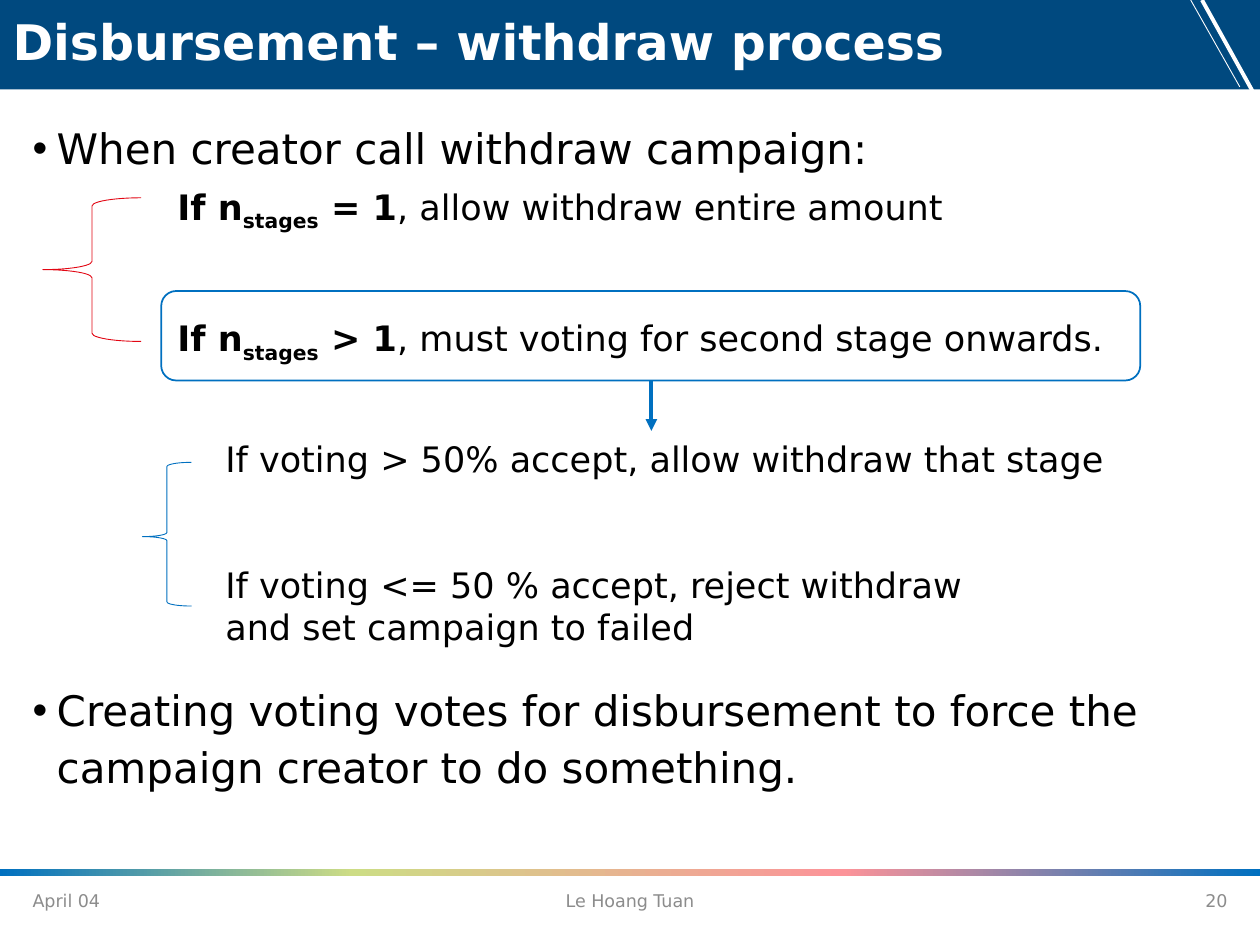
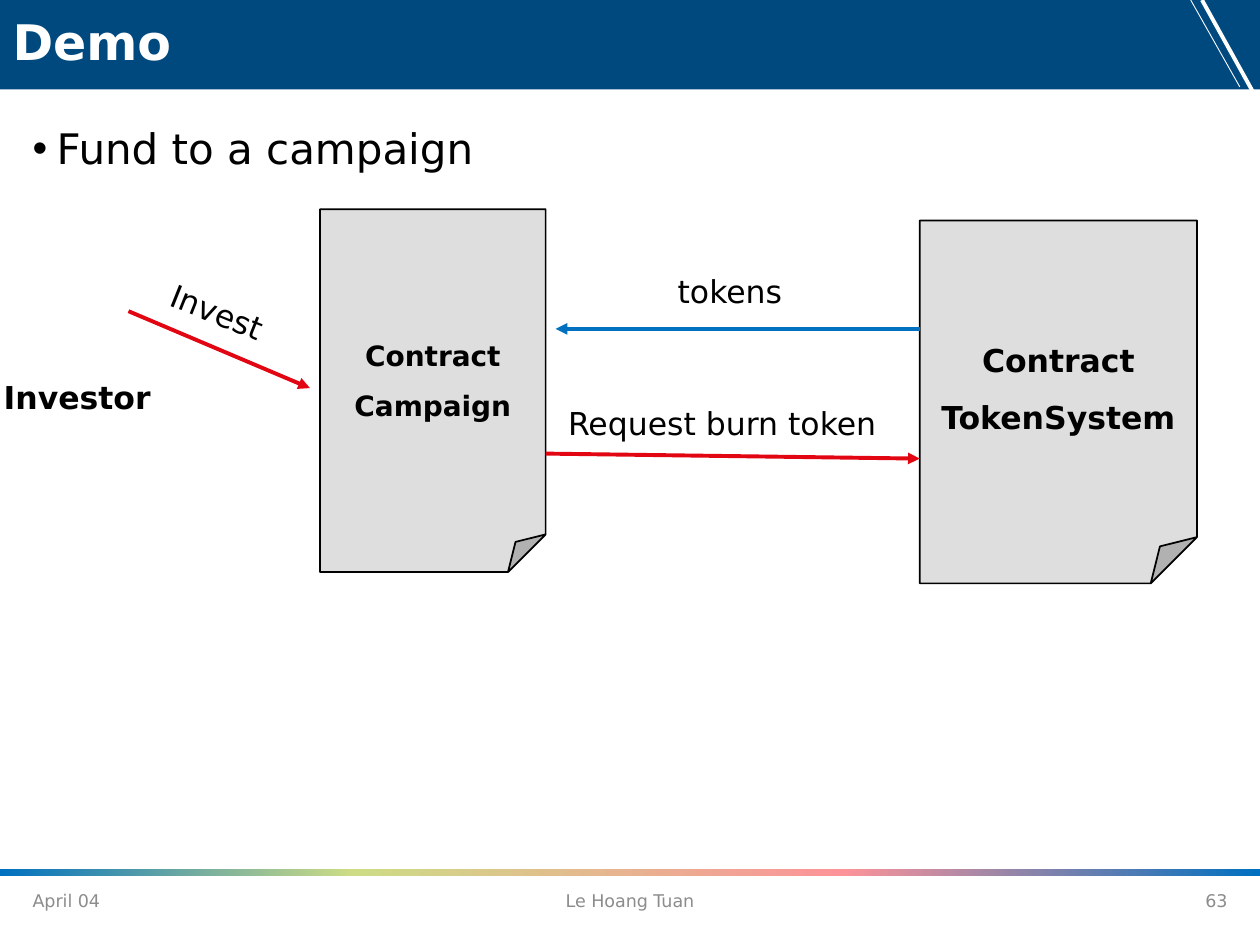
from lxml.etree import SubElement
from pptx import Presentation
from pptx.dml.color import RGBColor
from pptx.enum.shapes import MSO_CONNECTOR, MSO_SHAPE
from pptx.enum.text import MSO_ANCHOR, MSO_AUTO_SIZE, PP_ALIGN
from pptx.oxml import parse_xml
from pptx.oxml.ns import nsdecls, qn
from pptx.util import Inches, Pt

FONT = "DejaVu Sans"
NAVY = RGBColor(0x00, 0x49, 0x7F)
BLUE = RGBColor(0x00, 0x70, 0xC0)
RED = RGBColor(0xE2, 0x06, 0x13)
LIGHT_GREY = RGBColor(0xDE, 0xDE, 0xDE)
FOOTER_GREY = RGBColor(0x8C, 0x8C, 0x8C)
BLACK = RGBColor(0x00, 0x00, 0x00)
WHITE = RGBColor(0xFF, 0xFF, 0xFF)
GREEN = RGBColor(0xCD, 0xDC, 0x85)
PINK = RGBColor(0xFC, 0x93, 0x99)
RULE_STOPS = ((0, BLUE), (28, GREEN), (67, PINK), (100, BLUE))

BAND_HEIGHT = 0.71
BRANCH_GAP = 48


def place(shape, left, top, width, height):
    shape.left, shape.top = Inches(left), Inches(top)
    shape.width, shape.height = Inches(width), Inches(height)


def add_span(para, text, size, color=BLACK, bold=False, subscript=False):
    span = para.add_run()
    span.text = text
    font = span.font
    font.name, font.size, font.bold = FONT, Pt(size), bold
    font.color.rgb = color
    if subscript:
        span._r.get_or_add_rPr().set("baseline", "-25000")


def paragraphs(frame, count):
    """Return the first paragraph and as many new ones as needed."""
    return [frame.paragraphs[0]] + [frame.add_paragraph() for _ in range(count - 1)]


def add_shape(page, kind, left, top, width, height, fill=None, line=None, weight=1):
    shape = page.shapes.add_shape(
        kind, Inches(left), Inches(top), Inches(width), Inches(height))
    shape.shadow.inherit = False
    if fill is None:
        shape.fill.background()
    else:
        shape.fill.solid()
        shape.fill.fore_color.rgb = fill
    if line is None:
        shape.line.fill.background()
    else:
        shape.line.color.rgb = line
        shape.line.width = Pt(weight)
    return shape


def add_line(page, start, end, color, weight=2.25, arrow=False):
    line = page.shapes.add_connector(
        MSO_CONNECTOR.STRAIGHT, *(Inches(value) for value in start + end))
    line.line.color.rgb = color
    line.line.width = Pt(weight)
    properties = line.element.spPr
    if arrow:
        SubElement(properties.find(qn("a:ln")), qn("a:tailEnd"), type="triangle")
    SubElement(properties, qn("a:effectLst"))
    return line


def add_text(page, left, top, width, height, text="", size=18, color=BLACK,
             bold=False, align=PP_ALIGN.LEFT, anchor=MSO_ANCHOR.TOP):
    box = page.shapes.add_textbox(
        Inches(left), Inches(top), Inches(width), Inches(height))
    frame = box.text_frame
    frame.word_wrap = True
    frame.vertical_anchor = anchor
    frame.paragraphs[0].alignment = align
    if text:
        add_span(frame.paragraphs[0], text, size, color, bold)
    return box


def add_brace(page, left, top, width, color, middle=0.5):
    brace = add_shape(page, MSO_SHAPE.LEFT_BRACE, left, top, width, 1.14,
                      line=color, weight=0.5)
    brace.adjustments[1] = middle


def add_contract(page, left, top, width, name, size):
    contract = add_shape(page, MSO_SHAPE.FOLDED_CORNER, left, top, width, 2.88,
                         LIGHT_GREY, BLACK)
    contract.text_frame.word_wrap = True
    contract.text_frame.vertical_anchor = MSO_ANCHOR.MIDDLE
    para = contract.text_frame.paragraphs[0]
    para.alignment = PP_ALIGN.CENTER
    para.line_spacing = 1.5
    add_span(para, name, size, bold=True)


def set_title(page, text):
    title = page.shapes.title
    place(title, 0, 0, 10, BAND_HEIGHT)
    frame = title.text_frame
    frame.auto_size = MSO_AUTO_SIZE.NONE
    frame.vertical_anchor = MSO_ANCHOR.MIDDLE
    para = frame.paragraphs[0]
    para.alignment = PP_ALIGN.LEFT
    para.line_spacing = 0.9
    add_span(para, text, 28, WHITE, bold=True)


def set_bullets(page, height, texts, gap=0):
    body = page.placeholders[1]
    place(body, 0.16, 0.87, 9.69, height)
    frame = body.text_frame
    frame.auto_size = MSO_AUTO_SIZE.NONE
    for index, (para, text) in enumerate(zip(paragraphs(frame, len(texts)), texts)):
        properties = para._p.get_or_add_pPr()
        properties.set("marL", str(Inches(0.19)))
        properties.set("indent", str(-Inches(0.19)))
        SubElement(properties, qn("a:buChar"), char="•")
        para.line_spacing = 1.14
        para.space_before = Pt(gap if index else 0)
        para.space_after = Pt(6)
        add_span(para, text, 24)


def fill_with_gradient(shape, stops):
    marks = "".join(
        f'<a:gs pos="{position * 1000}"><a:srgbClr val="{color}"/></a:gs>'
        for position, color in stops)
    gradient = parse_xml(f'<a:gradFill {nsdecls("a")}><a:gsLst>{marks}</a:gsLst>'
                         '<a:lin ang="0" scaled="0"/></a:gradFill>')
    properties = shape.element.spPr
    properties.replace(properties.find(qn("a:solidFill")), gradient)


def decorate_layout(page):
    """Draw the shared band and lines, then hand them to the layout."""
    band = add_shape(page, MSO_SHAPE.RECTANGLE, 0, 0, 10, BAND_HEIGHT, NAVY)
    rule = add_shape(page, MSO_SHAPE.RECTANGLE, 0, 6.9, 10, 0.05, BLUE)
    fill_with_gradient(rule, RULE_STOPS)
    thin = add_line(page, (9.45, 0), (9.84, 0.69), WHITE, 0.5)
    thick = add_line(page, (9.54, 0), (10, 0.83), WHITE)
    for shape in (band, rule, thin, thick):
        page.slide_layout.shapes.element.append(shape.element)


def add_footer(page, number):
    for left, width, text, align in (
            (0.16, 2.25, "April 04", PP_ALIGN.LEFT),
            (3.31, 3.38, "Le Hoang Tuan", PP_ALIGN.CENTER),
            (7.59, 2.25, number, PP_ALIGN.RIGHT)):
        add_text(page, left, 6.95, width, 0.4, text, 10, FOOTER_GREY,
                 align=align, anchor=MSO_ANCHOR.MIDDLE)


def build_withdraw(page):
    set_title(page, "Disbursement – withdraw process")
    set_bullets(page, 5.9, (
        "When creator call withdraw campaign:",
        "Creating voting votes for disbursement to force the "
        "campaign creator to do something."), gap=282)
    add_footer(page, "20")

    # Number of stages
    add_brace(page, 0.34, 1.57, 0.78, RED)
    stages = add_text(page, 1.31, 1.42, 7.74, 1.45)
    cases = ((" = 1", ", allow withdraw entire amount"),
             (" > 1", ", must voting for second stage onwards."))
    for para, (condition, action) in zip(paragraphs(stages.text_frame, 2), cases):
        add_span(para, "If n", 20, bold=True)
        add_span(para, "stages", 20, bold=True, subscript=True)
        add_span(para, condition, 20, bold=True)
        add_span(para, action, 20)
    para.space_before = Pt(BRANCH_GAP)

    # Voting result
    add_brace(page, 1.13, 3.67, 0.39, BLUE, middle=0.517)
    voting = add_text(page, 1.69, 3.42, 7.74, 1.78)
    outcomes = ("If voting > 50% accept, allow withdraw that stage",
                "If voting <= 50 % accept, reject withdraw",
                "and set campaign to failed")
    lines = paragraphs(voting.text_frame, len(outcomes))
    for para, outcome in zip(lines, outcomes):
        add_span(para, outcome, 20)
    lines[1].space_before = Pt(BRANCH_GAP)

    # Link from the second case to the vote
    add_shape(page, MSO_SHAPE.ROUNDED_RECTANGLE, 1.28, 2.31, 7.77, 0.71, line=BLUE)
    add_line(page, (5.17, 3.02), (5.17, 3.42), BLUE, arrow=True)


def build_demo(page):
    set_title(page, "Demo")
    set_bullets(page, 0.55, ("Fund to a campaign",))
    add_footer(page, "63")

    # Investor and campaign
    add_contract(page, 2.54, 1.66, 1.79, "Contract Campaign", 16)
    investor = add_text(page, 0, 2.95, 1.56, 0.4, "Investor", bold=True)
    investor.text_frame.margin_left = Inches(0.03)
    add_line(page, (1.02, 2.47), (2.46, 3.08), RED, arrow=True)
    add_text(page, 1.23, 2.34, 1.32, 0.4, "Invest").rotation = 21.8

    # Token exchange
    add_contract(page, 7.3, 1.75, 2.2, "Contract TokenSystem", 18)
    add_line(page, (4.33, 3.6), (7.3, 3.64), RED, arrow=True)
    add_line(page, (7.3, 2.61), (4.41, 2.61), BLUE, arrow=True)
    add_text(page, 5.28, 2.11, 1.11, 0.4, "tokens")
    add_text(page, 4.41, 3.16, 2.89, 0.4, "Request burn token")


def main():
    deck = Presentation()
    deck.slide_width, deck.slide_height = Inches(10), Inches(7.5)
    layout = deck.slide_layouts[1]
    withdraw = deck.slides.add_slide(layout)
    decorate_layout(withdraw)
    build_withdraw(withdraw)
    build_demo(deck.slides.add_slide(layout))
    deck.save("out.pptx")


if __name__ == "__main__":
    main()
